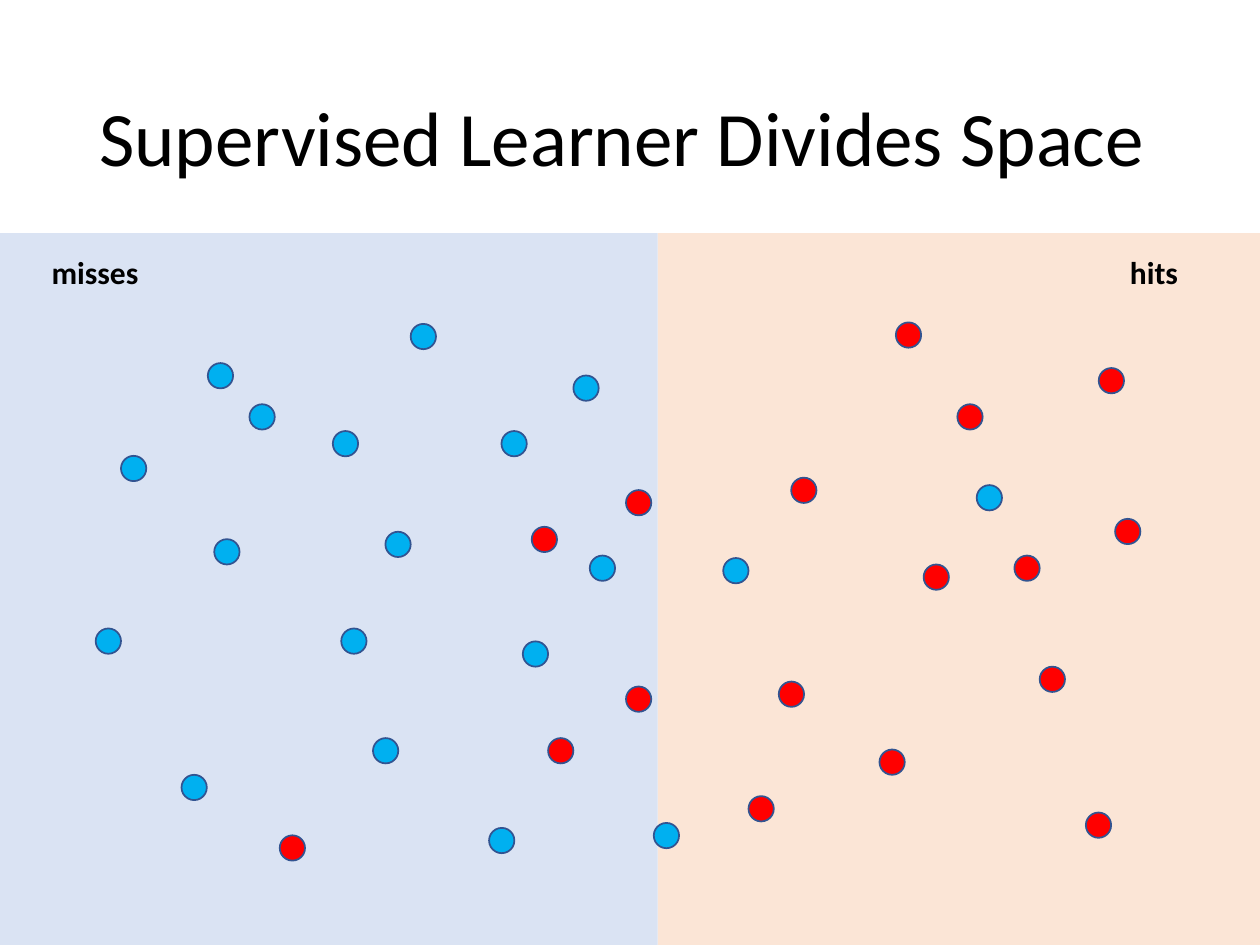
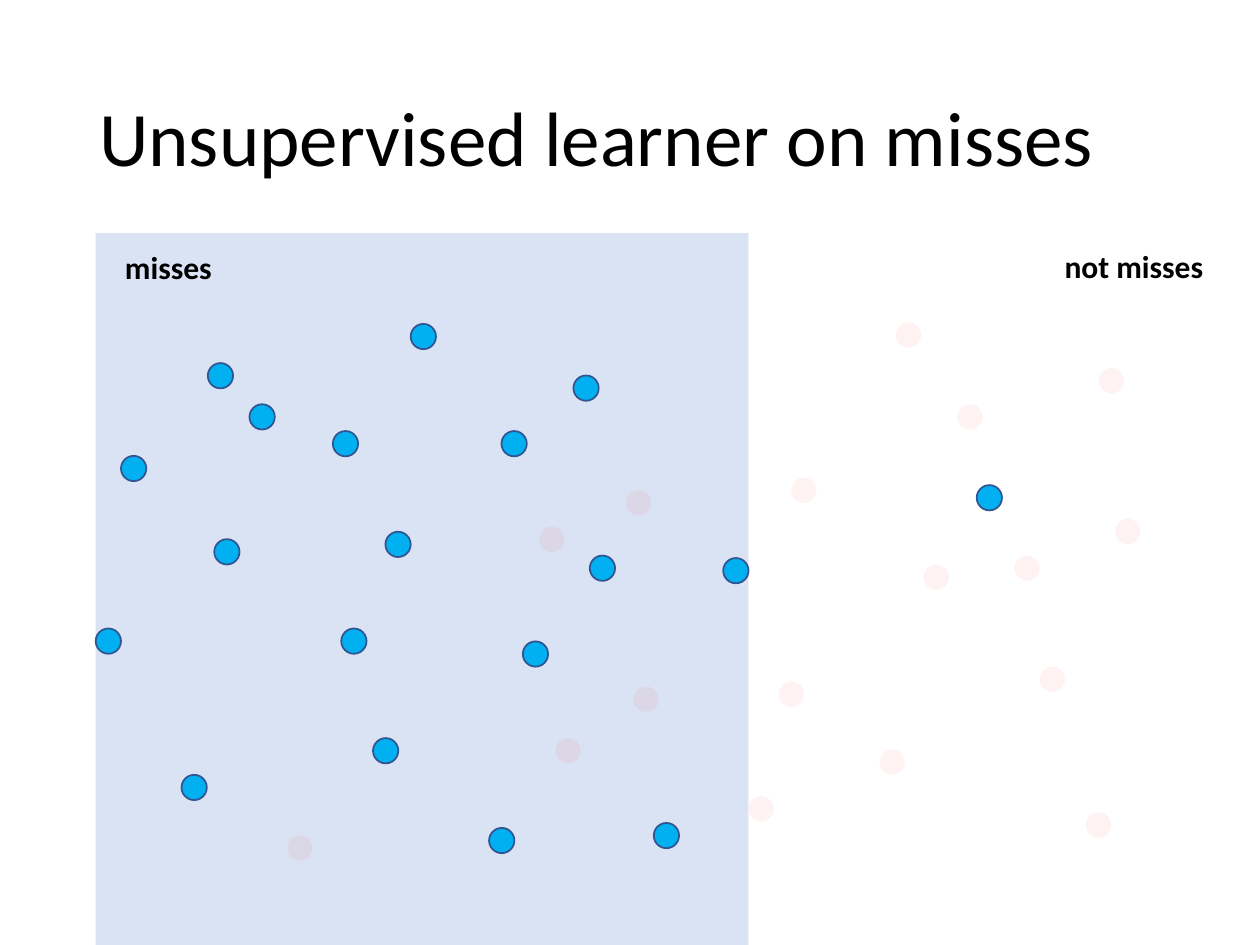
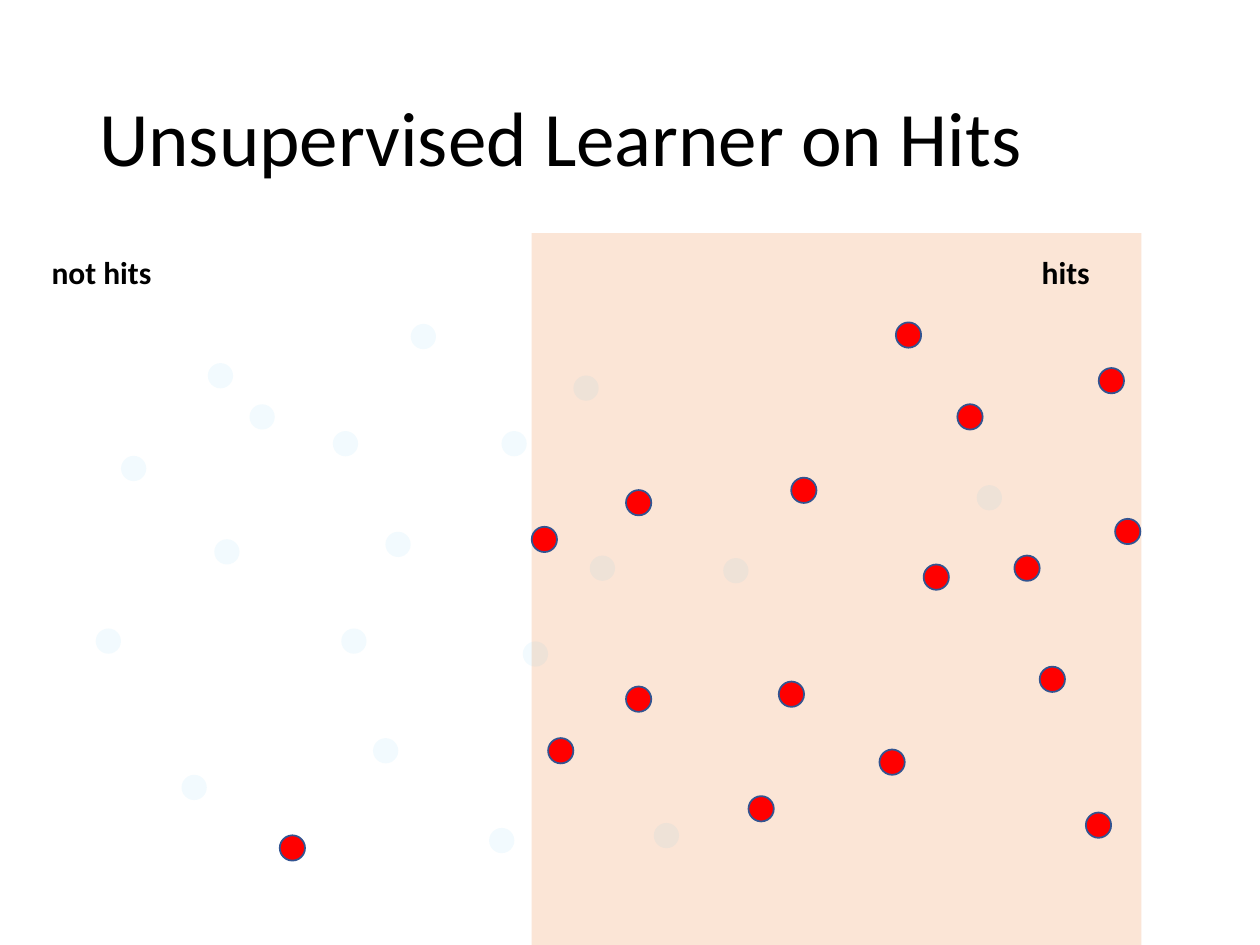
import pptx
import pptx.dml.color
import pptx.enum.shapes
import pptx.enum.text
import pptx.util
import lxml.etree
from pptx.oxml.ns import qn
from pptx.util import Cm

COLORS = {
    "text": "000000",
    "miss": "00B0F0",
    "hit": "FF0000",
    "outline": "325491",
    "miss_region": "DAE3F3",
    "hit_region": "FBE5D6",
}
FONT = "Calibri"
SLIDE_WIDTH, SLIDE_HEIGHT = 25.4, 19.05
REGION_TOP = 4.7
BOUNDARY = 13.26
DOT_SIZE = 0.51
FADED_ALPHA = 5
FADED_SHIFT = 0.15

# Top left corners of the dots, in cm
MISSES = [
    (4.19, 7.32), (10.11, 8.69), (6.71, 8.69), (4.32, 10.87), (7.77, 10.72),
    (14.58, 11.25), (2.44, 9.19), (10.54, 12.93), (11.89, 11.2), (5.03, 8.15),
    (11.56, 7.57), (8.28, 6.53), (1.93, 12.67), (7.52, 14.88), (3.66, 15.62),
    (9.86, 16.69), (13.18, 16.59), (19.69, 9.78), (6.88, 12.67),
]
HITS = [
    (19.3, 8.15), (22.48, 10.46), (12.62, 9.88), (22.15, 7.42), (18.62, 11.38),
    (15.09, 16.05), (15.95, 9.63), (18.06, 6.5), (15.7, 13.74), (20.96, 13.44),
    (17.73, 15.11), (21.89, 16.38), (20.45, 11.2),
]
# Hits on the miss side that move slightly right when faded
STRAY_HITS = [(10.72, 10.62), (11.05, 14.88), (5.64, 16.84), (12.62, 13.84)]


def rgb(name):
    return pptx.dml.color.RGBColor.from_string(COLORS[name])


def add_filled(slide, preset, left, top, width, height, color):
    shape = slide.shapes.add_shape(preset, Cm(left), Cm(top), Cm(width), Cm(height))
    shape.shadow.inherit = False
    shape.fill.solid()
    shape.fill.fore_color.rgb = rgb(color)
    shape.line.fill.background()
    return shape


def add_region(slide, left, width, color):
    add_filled(slide, pptx.enum.shapes.MSO_SHAPE.RECTANGLE, left, REGION_TOP,
               width, SLIDE_HEIGHT - REGION_TOP, color)


def add_dots(slide, positions, color, faded=False):
    for left, top in positions:
        dot = add_filled(slide, pptx.enum.shapes.MSO_SHAPE.OVAL, left, top,
                         DOT_SIZE, DOT_SIZE, color)
        if faded:
            tint = dot.fill._xPr.find(qn("a:solidFill"))[0]
            alpha = lxml.etree.SubElement(tint, qn("a:alpha"))
            alpha.set("val", str(FADED_ALPHA * 1000))
        else:
            dot.line.color.rgb = rgb("outline")
            dot.line.width = pptx.util.Pt(1)


def add_text(slide, text, left, top, width, height, size, bold=False, wrap=False):
    box = slide.shapes.add_textbox(Cm(left), Cm(top), Cm(width), Cm(height))
    frame = box.text_frame
    frame.text = text
    frame.word_wrap = wrap
    font = frame.paragraphs[0].runs[0].font
    font.name = FONT
    font.size = pptx.util.Pt(size)
    font.bold = bold
    font.color.rgb = rgb("text")
    return frame


def add_title(slide, text):
    frame = add_text(slide, text, 1.75, 1.02, 21.89, 3.68, 44, wrap=True)
    frame.vertical_anchor = pptx.enum.text.MSO_ANCHOR.MIDDLE
    frame.paragraphs[0].line_spacing = 0.9


def add_label(slide, text, left, top, width):
    add_text(slide, text, left, top, width, 1.02, 18, bold=True)


def add_space(deck, title, regions, labels, faded=None):
    """Add a slide with its regions, title, dots and region labels."""
    slide = deck.slides.add_slide(deck.slide_layouts[6])
    for region in regions:
        add_region(slide, *region)
    add_title(slide, title)
    shift = FADED_SHIFT if faded == "hit" else 0
    strays = [(left + shift, top) for left, top in STRAY_HITS]
    add_dots(slide, MISSES, "miss", faded == "miss")
    add_dots(slide, HITS + strays, "hit", faded == "hit")
    for label in labels:
        add_label(slide, *label)


def main():
    deck = pptx.Presentation()
    deck.slide_width, deck.slide_height = Cm(SLIDE_WIDTH), Cm(SLIDE_HEIGHT)

    # Both classes split the whole space
    add_space(deck, "Supervised Learner Divides Space",
              [(BOUNDARY, SLIDE_WIDTH - BOUNDARY, "hit_region"),
               (0, BOUNDARY, "miss_region")],
              [("misses", 0.79, 4.98, 2.26), ("hits", 22.53, 4.98, 1.5)])

    # Only the misses are known
    add_space(deck, "Unsupervised learner on misses",
              [(1.93, 13.16, "miss_region")],
              [("misses", 2.27, 4.88, 2.26), ("not misses", 21.21, 4.85, 3.33)],
              faded="hit")

    # Only the hits are known
    add_space(deck, "Unsupervised Learner on Hits",
              [(10.72, 12.29, "hit_region")],
              [("not hits", 0.79, 4.98, 2.54), ("hits", 20.75, 4.98, 1.5)],
              faded="miss")

    deck.save("out.pptx")


if __name__ == "__main__":
    main()
